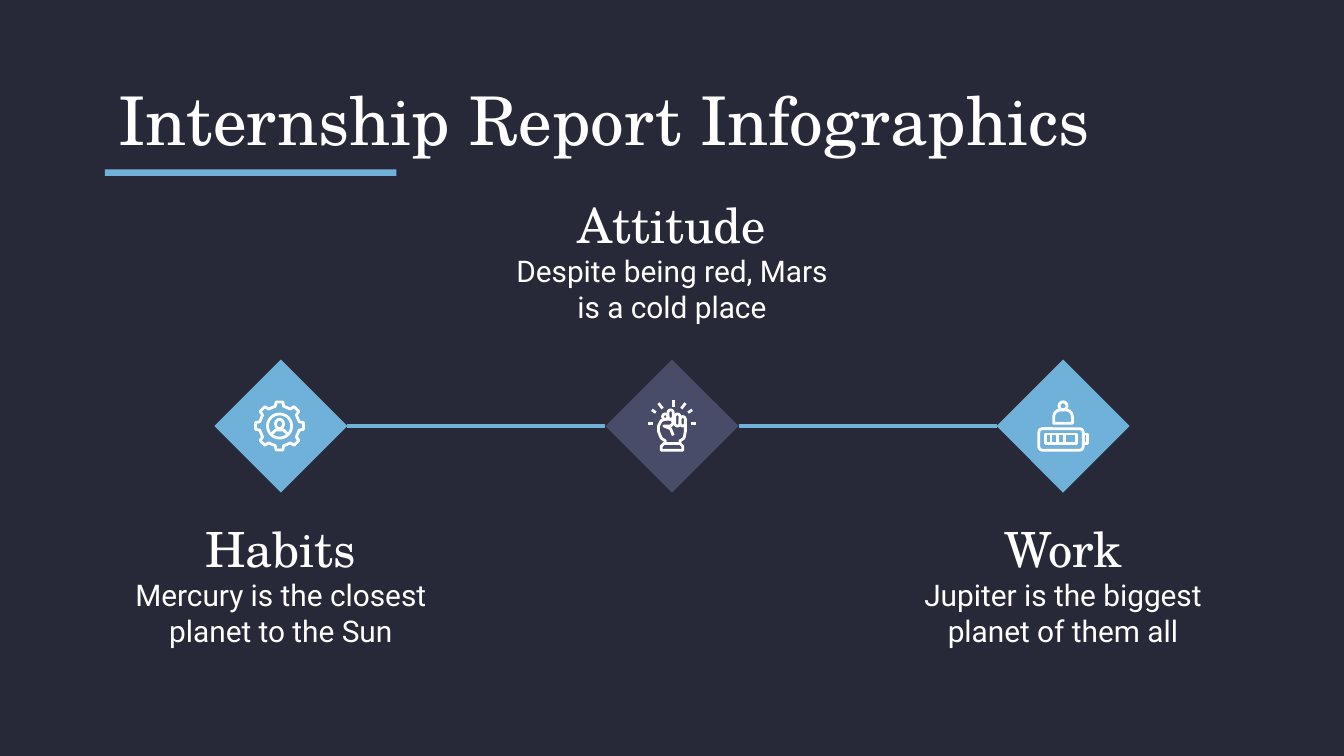
from dataclasses import dataclass
from math import cos, radians, sin
from typing import Callable, Optional

from lxml import etree
from pptx import Presentation
from pptx.dml.color import RGBColor
from pptx.enum.shapes import MSO_CONNECTOR, MSO_SHAPE
from pptx.enum.text import MSO_ANCHOR, MSO_AUTO_SIZE, PP_ALIGN
from pptx.oxml.ns import qn
from pptx.util import Inches, Pt

STRAIGHT = MSO_CONNECTOR.STRAIGHT
DIAMOND, RECT, OVAL = MSO_SHAPE.DIAMOND, MSO_SHAPE.RECTANGLE, MSO_SHAPE.OVAL
ROUND_RECT, ROUND_TOP = MSO_SHAPE.ROUNDED_RECTANGLE, MSO_SHAPE.ROUND_2_SAME_RECTANGLE
TOP, MIDDLE = MSO_ANCHOR.TOP, MSO_ANCHOR.MIDDLE
LEFT, CENTER = PP_ALIGN.LEFT, PP_ALIGN.CENTER
NO_AUTOFIT = MSO_AUTO_SIZE.NONE
SIDE_LEFT, SIDE_RIGHT = 1, 3


@dataclass(frozen=True)
class Theme:
    background: str = "282938"
    blue: str = "70B1DA"
    violet: str = "484C68"
    white: str = "FFFFFF"
    heading_font: str = "TeX Gyre Schola"
    body_font: str = "Roboto"
    title_size: float = 36
    heading_size: float = 26
    body_size: float = 16
    link_width: float = 2.25
    icon_width: float = 1.5


THEME = Theme()
SLIDE_WIDTH = 10
SLIDE_HEIGHT = SLIDE_WIDTH * 9 / 16
PITCH, DIAMOND_SIZE, AXIS_Y = 2.91, 0.99, 3.17
TEXT_WIDTH = 2.6


def set_text(sp, text: str, *, font: str, size: float, align=CENTER, anchor=TOP) -> None:
    tf = sp.text_frame
    tf.auto_size = NO_AUTOFIT
    tf.word_wrap = True
    tf.vertical_anchor = anchor
    tf.margin_left = tf.margin_right = tf.margin_top = tf.margin_bottom = Inches(0.1)
    p = tf.paragraphs[0]
    p.alignment = align
    r = p.add_run()
    r.text = text
    r.font.name = font
    r.font.size = Pt(size)
    r.font.color.rgb = RGBColor.from_string(THEME.white)


def add_filled(s, kind, x: float, y: float, w: float, h: float, color: str):
    sp = s.shapes.add_shape(kind, Inches(x), Inches(y), Inches(w), Inches(h))
    sp.shadow.inherit = False
    sp.fill.solid()
    sp.fill.fore_color.rgb = RGBColor.from_string(color)
    sp.line.fill.background()
    return sp


def add_line(s, x1: float, y1: float, x2: float, y2: float, color: str, width: float):
    line = s.shapes.add_connector(STRAIGHT, Inches(x1), Inches(y1), Inches(x2), Inches(y2))
    line.line.color.rgb = RGBColor.from_string(color)
    line.line.width = Pt(width)
    etree.SubElement(line._element.spPr, qn("a:effectLst"))
    return line


@dataclass
class Pen:
    s: object
    x: float
    y: float

    def outline(self, sp) -> None:
        sp.shadow.inherit = False
        sp.fill.background()
        sp.line.color.rgb = RGBColor.from_string(THEME.white)
        sp.line.width = Pt(THEME.icon_width)

    def shape(self, kind, x: float, y: float, w: float, h: float,
              radius: Optional[float] = None) -> None:
        sp = self.s.shapes.add_shape(
            kind, Inches(self.x + x), Inches(self.y + y), Inches(w), Inches(h))
        if radius is not None:
            sp.adjustments[0] = radius
        self.outline(sp)

    def path_line(self, points: list[tuple[float, float]], close: bool = False) -> None:
        places = [(Inches(self.x + x), Inches(self.y + y)) for x, y in points]
        builder = self.s.shapes.build_freeform(*places[0])
        builder.add_line_segments(places[1:], close=close)
        self.outline(builder.convert_to_shape())

    def stroke(self, x1: float, y1: float, x2: float, y2: float) -> None:
        add_line(self.s, self.x + x1, self.y + y1, self.x + x2, self.y + y2,
                 THEME.white, THEME.icon_width)


def draw_gear(pen: Pen) -> None:
    tooth = [(-12, 0.15), (-8, 0.18), (8, 0.18), (12, 0.15)]
    polar = [(radians(45 * i + a), radius) for i in range(8) for a, radius in tooth]
    pen.path_line([(radius * cos(a) - 0.01, radius * sin(a)) for a, radius in polar], close=True)
    pen.shape(OVAL, -0.1, -0.09, 0.18, 0.18)
    pen.shape(OVAL, -0.04, -0.05, 0.06, 0.07)
    pen.path_line([(-0.07, 0.06), (-0.04, 0.03), (0.02, 0.03), (0.05, 0.06)])


def draw_fist(pen: Pen) -> None:
    fingers = [(-0.07, -0.09, 0.04), (-0.03, -0.12, 0.07),
               (0.02, -0.09, 0.09), (0.06, -0.07, 0.07)]
    for x, y, h in fingers:
        pen.shape(ROUND_RECT, x, y, 0.04, h, 0.5)
    pen.path_line([
        (0.01, 0.07), (-0.01, 0.02), (-0.06, 0), (-0.01, 0), (0.01, -0.02),
        (0, -0.05), (-0.05, -0.05), (-0.08, -0.04), (-0.1, 0), (-0.1, 0.04),
        (-0.08, 0.09), (-0.05, 0.11), (-0.05, 0.13), (0.06, 0.13),
        (0.06, 0.11), (0.09, 0.09), (0.1, 0.04), (0.1, -0.02)])
    pen.path_line([(-0.08, 0.18), (-0.08, 0.15), (-0.06, 0.13),
                   (0.06, 0.13), (0.08, 0.15), (0.08, 0.18)], close=True)
    pen.stroke(0.01, -0.19, 0.01, -0.14)
    for side in (-1, 1):
        for x1, y1, x2, y2 in [(0.1, -0.17, 0.07, -0.13), (0.15, -0.12, 0.12, -0.1),
                               (0.18, -0.02, 0.14, -0.02)]:
            pen.stroke(side * x1, y1, side * x2, y2)


def draw_battery(pen: Pen) -> None:
    pen.shape(OVAL, -0.03, -0.18, 0.06, 0.06)
    pen.shape(ROUND_TOP, -0.07, -0.12, 0.14, 0.1, 0.5)
    pen.shape(ROUND_RECT, -0.18, 0.02, 0.33, 0.16, 0.16)
    pen.shape(RECT, 0.15, 0.06, 0.03, 0.07)
    pen.shape(RECT, -0.13, 0.06, 0.23, 0.07)
    for i in range(3):
        x = -0.09 + 0.05 * i
        pen.stroke(x, 0.06, x, 0.13)


@dataclass(frozen=True)
class Topic:
    heading: str
    text: str
    text_y: float
    color: str
    icon: Callable[[Pen], None]


TOPICS = [
    Topic("Habits", "Mercury is the closest planet to the Sun", 3.9, THEME.blue, draw_gear),
    Topic("Attitude", "Despite being red, Mars is a cold place", 1.49, THEME.violet, draw_fist),
    Topic("Work", "Jupiter is the biggest planet of them all", 3.9, THEME.blue, draw_battery),
]


def add_topic(s, topic: Topic, x: float):
    left = Inches(x - TEXT_WIDTH / 2)
    heading = s.shapes.add_textbox(left, Inches(topic.text_y), Inches(TEXT_WIDTH), Inches(0.36))
    set_text(heading, topic.heading, font=THEME.heading_font, size=THEME.heading_size,
             anchor=MIDDLE)
    body = s.shapes.add_textbox(left, Inches(topic.text_y + 0.29), Inches(TEXT_WIDTH), Inches(0.74))
    set_text(body, topic.text, font=THEME.body_font, size=THEME.body_size)
    half = DIAMOND_SIZE / 2
    diamond = add_filled(s, DIAMOND, x - half, AXIS_Y - half, DIAMOND_SIZE, DIAMOND_SIZE,
                         topic.color)
    topic.icon(Pen(s, x, AXIS_Y))
    return diamond


def main() -> None:
    prs = Presentation()
    prs.slide_width, prs.slide_height = Inches(SLIDE_WIDTH), Inches(SLIDE_HEIGHT)
    s = prs.slides.add_slide(prs.slide_layouts[5])
    s.background.fill.solid()
    s.background.fill.fore_color.rgb = RGBColor.from_string(THEME.background)

    title = s.shapes.title
    title.left, title.top = Inches(0.78), Inches(0.59)
    title.width, title.height = Inches(8.44), Inches(0.59)
    set_text(title, "Internship Report Infographics", font=THEME.heading_font,
             size=THEME.title_size, align=LEFT, anchor=MIDDLE)
    add_filled(s, RECT, 0.78, 1.26, 2.17, 0.05, THEME.blue)

    diamonds = [add_topic(s, topic, SLIDE_WIDTH / 2 + PITCH * (i - 1))
                for i, topic in enumerate(TOPICS)]
    for start, end in zip(diamonds, diamonds[1:]):
        link = add_line(s, 0, 0, 1, 1, THEME.blue, THEME.link_width)
        link.begin_connect(start, SIDE_RIGHT)
        link.end_connect(end, SIDE_LEFT)

    prs.save("out.pptx")


if __name__ == "__main__":
    main()
